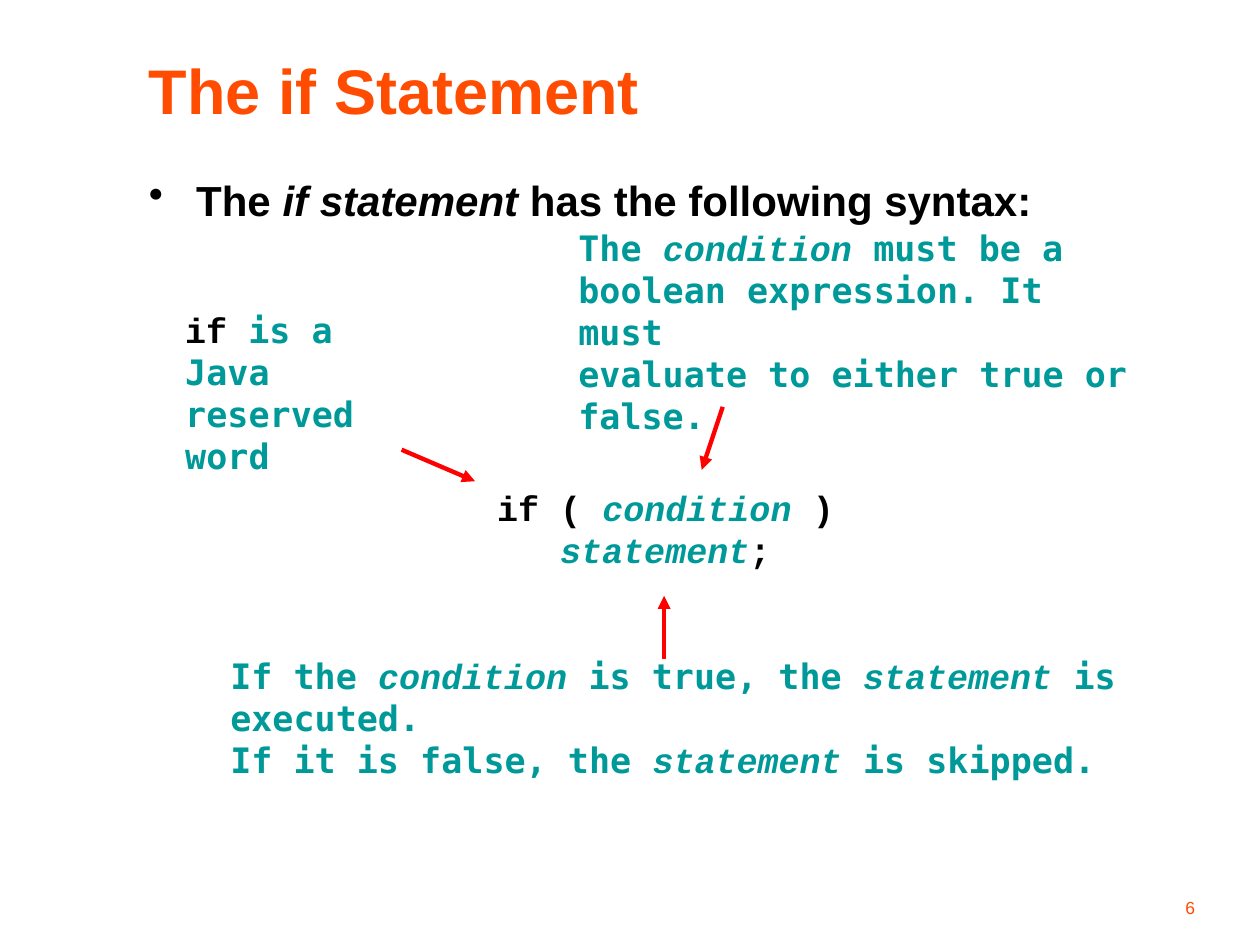
"""Build a slide that explains the syntax of the if statement."""
import pptx
import pptx.dml.color
import pptx.enum.shapes
import pptx.enum.text
import pptx.oxml.ns
import pptx.util
from lxml import etree

Pt = pptx.util.Pt
ANCHOR = pptx.enum.text.MSO_ANCHOR
ALIGN = pptx.enum.text.PP_ALIGN
ORANGE = pptx.dml.color.RGBColor(0xFF, 0x4C, 0x00)
TEAL = pptx.dml.color.RGBColor(0x00, 0x99, 0x99)
BLACK = pptx.dml.color.RGBColor(0x00, 0x00, 0x00)
RED = pptx.dml.color.RGBColor(0xFF, 0x00, 0x00)

HEADING = {"font": "Arial", "color": BLACK}
EMPHASIS = {**HEADING, "italic": True}
NOTE = {"font": "DejaVu Sans Mono", "color": TEAL}
CODE = {"font": "Courier New", "color": BLACK}
TERM = {"font": "Courier New", "color": TEAL, "italic": True}


def add_run(paragraph, text, size, font, color, bold=True, italic=False):
    run = paragraph.add_run()
    run.text = text
    run.font.size = Pt(size)
    run.font.name = font
    run.font.color.rgb = color
    run.font.bold = bold
    run.font.italic = italic


def add_text(slide, box, paragraphs, size=20, anchor=ANCHOR.MIDDLE, align=ALIGN.LEFT):
    shape = slide.shapes.add_textbox(*(Pt(length) for length in box))
    frame = shape.text_frame
    frame.word_wrap = True
    frame.vertical_anchor = anchor
    for index, runs in enumerate(paragraphs):
        paragraph = frame.add_paragraph() if index else frame.paragraphs[0]
        paragraph.alignment = align
        for text, style in runs:
            add_run(paragraph, text, size, **style)
    return frame.paragraphs


def indent(paragraph, left, hanging=0, bullet=None):
    properties = paragraph._p.get_or_add_pPr()
    properties.set("marL", str(Pt(left)))
    properties.set("indent", str(-Pt(hanging)))
    if bullet:
        mark = etree.SubElement(properties, pptx.oxml.ns.qn("a:buChar"))
        mark.set("char", bullet)


def add_arrow(slide, start, end):
    points = (Pt(length) for length in (*start, *end))
    arrow = slide.shapes.add_connector(pptx.enum.shapes.MSO_CONNECTOR.STRAIGHT, *points)
    arrow.line.color.rgb = RED
    arrow.line.width = Pt(2.5)
    head = etree.SubElement(arrow.line._get_or_add_ln(), pptx.oxml.ns.qn("a:tailEnd"))
    head.set("type", "triangle")
    etree.SubElement(arrow._element.spPr, pptx.oxml.ns.qn("a:effectLst"))


def add_headings(slide):
    add_text(slide, (78, 24, 624, 54),
             [[("The if Statement", {"font": "Arial", "color": ORANGE})]], size=36)
    topic, = add_text(slide, (78, 96, 624, 62),
                      [[("The ", HEADING), ("if statement", EMPHASIS),
                        (" has the following syntax:", HEADING)]],
                      size=24, anchor=ANCHOR.TOP)
    topic.space_before = Pt(6)
    indent(topic, 27, hanging=27, bullet="•")


def add_syntax(slide):
    lines = add_text(slide, (277, 274, 212, 56),
                     [[("if ( ", CODE), ("condition", TERM), (" )", CODE)],
                      [("statement", TERM), (";", CODE)]])
    indent(lines[1], 36)


def add_notes(slide):
    add_text(slide, (98.8, 196.5, 158, 56),
             [[("if", CODE), (" is a Java", NOTE)], [("reserved word", NOTE)]])
    add_text(slide, (323.4, 150, 330.4, 79),
             [[("The ", NOTE), ("condition", TERM), (" must be a", NOTE)],
              [("boolean expression. It must", NOTE)],
              [("evaluate to either true or false.", NOTE)]])
    add_text(slide, (124.5, 382, 533.5, 56),
             [[("If the ", NOTE), ("condition", TERM), (" is true, the ", NOTE),
               ("statement", TERM), (" is executed.", NOTE)],
              [("If it is false, the ", NOTE), ("statement", TERM),
               (" is skipped.", NOTE)]])


def main():
    presentation = pptx.Presentation()
    presentation.slide_width, presentation.slide_height = Pt(720), Pt(540)
    slide = presentation.slides.add_slide(presentation.slide_layouts[6])
    add_headings(slide)
    add_syntax(slide)
    add_notes(slide)
    for start, end in (((229.5, 257), (271.5, 275)),
                       ((413, 232.5), (401, 268.5)),
                       ((379.5, 376.5), (379.5, 340.5))):
        add_arrow(slide, start, end)
    add_text(slide, (540, 498, 150, 30),
             [[("6", {"font": "Arial", "color": ORANGE, "bold": False})]],
             size=10, anchor=ANCHOR.BOTTOM, align=ALIGN.RIGHT)
    presentation.save("out.pptx")


if __name__ == "__main__":
    main()
